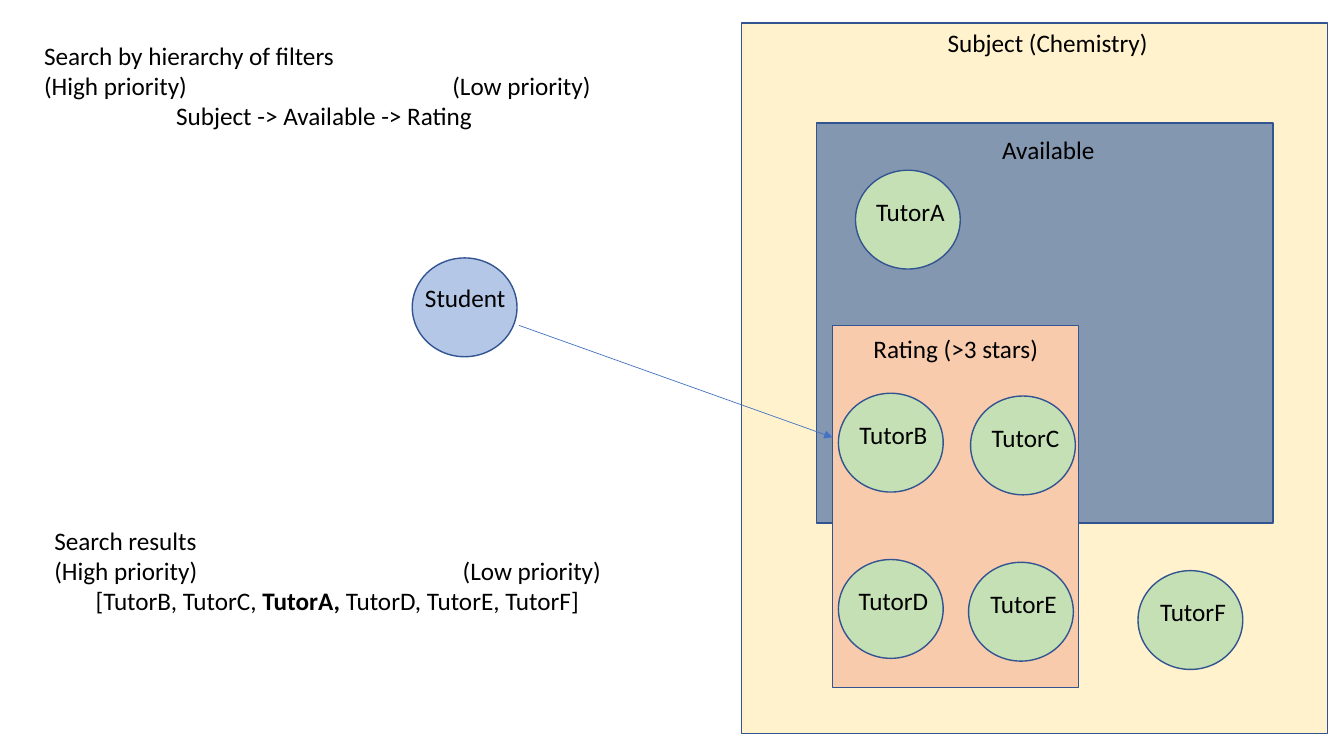
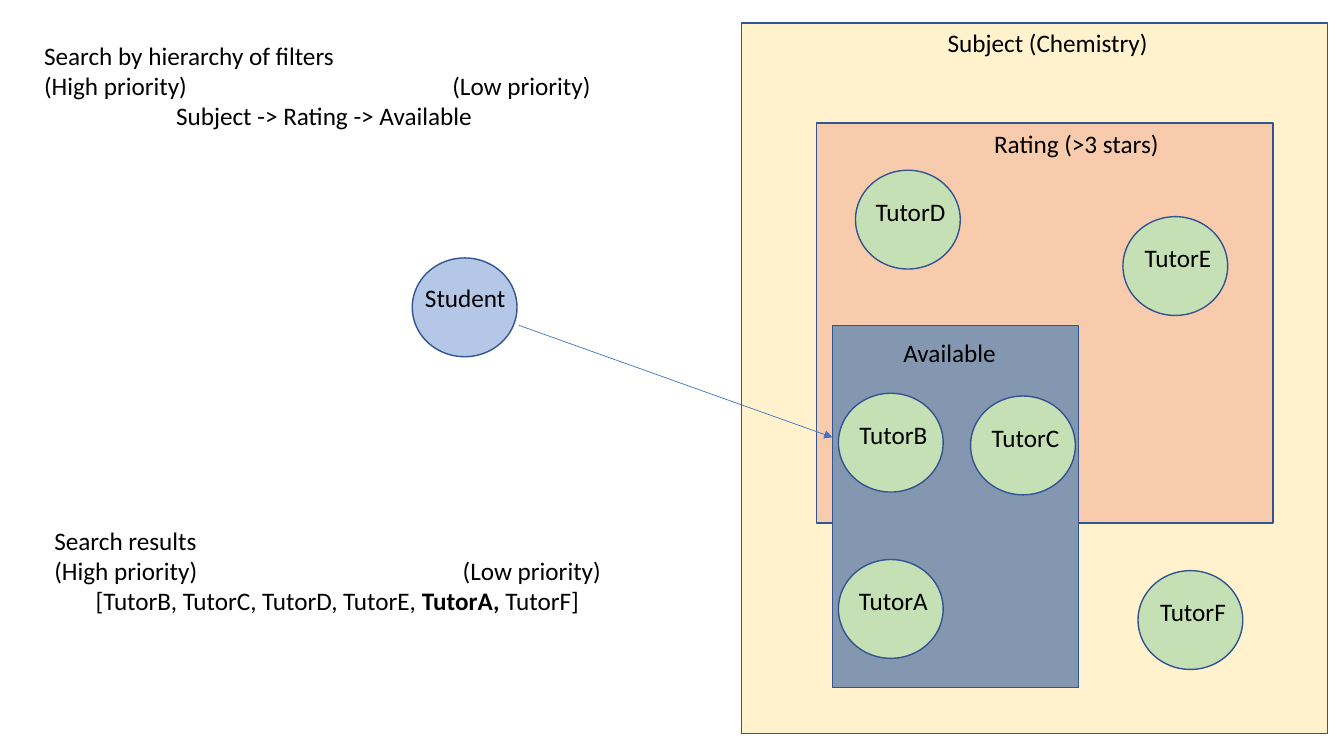
from dataclasses import dataclass
from lxml.etree import SubElement
from pptx import Presentation
from pptx.dml.color import RGBColor
from pptx.enum.shapes import MSO_CONNECTOR, MSO_SHAPE
from pptx.enum.text import PP_ALIGN
from pptx.oxml.ns import qn
from pptx.slide import Slide
from pptx.util import Cm, Pt

COLORS = {
    "cream": "FFF2CC",
    "slate": "8497B0",
    "peach": "F8CBAD",
    "green": "C5E0B4",
    "sky": "B4C7E7",
    "edge": "325491",
    "arrow": "4472C4",
    "ink": "000000",
}
FONT = "Calibri"
SIZE = Pt(18)
RING_W, RING_H = 2.64, 2.49
TAG_W, TAG_H = 5.61, 1.02
NOTE_W, NOTE_H = 14.76, 2.57
TAB = 10.29


@dataclass(frozen=True)
class Box:
    x: float
    y: float
    w: float
    h: float


@dataclass(frozen=True)
class Zone:
    text: str
    fill: str
    box: Box
    tag: Box


@dataclass(frozen=True)
class Ring:
    text: str
    x: float
    y: float
    fill: str = "green"
    dx: float = -1.42
    dy: float = 0.53


@dataclass(frozen=True)
class Run:
    text: str
    bold: bool = False


@dataclass(frozen=True)
class Line:
    runs: tuple[Run, ...]
    align: PP_ALIGN = PP_ALIGN.LEFT
    tab: bool = False


@dataclass(frozen=True)
class Page:
    zones: tuple[Zone, ...]
    rings: tuple[Ring, ...]
    rule: str
    found: tuple[Run, ...]


OUTER = Box(20.57, 3.1, 11.51, 10.08)
INNER = Box(20.98, 8.2, 6.2, 9.12)
SUBJECT = Zone("Subject (Chemistry)", "cream",
               Box(18.69, 0.58, 14.76, 17.91), Box(22.94, 0.56, 6.93, TAG_H))
SHARED = (
    Ring("Student", 10.39, 6.5, "sky", -1.47, 0.48),
    Ring("TutorB", 21.13, 9.91),
    Ring("TutorC", 24.46, 9.98),
    Ring("TutorF", 28.68, 14.38),
)
PAGES = (
    Page(
        (Zone("Available", "slate", OUTER, Box(24.59, 3.25, 3.66, TAG_H)),
         Zone("Rating (>3 stars)", "peach", INNER,
              Box(21.34, 8.28, 5.49, TAG_H))),
        (Ring("TutorA", 21.56, 4.29),
         Ring("TutorD", 21.13, 14.1),
         Ring("TutorE", 24.41, 14.17)),
        "Subject -> Available -> Rating ",
        (Run("[TutorB, TutorC, "), Run("TutorA, ", True),
         Run("TutorD, TutorE, TutorF]")),
    ),
    Page(
        (Zone("Rating (>3 stars)", "peach", OUTER,
              Box(24.38, 3.1, 5.49, TAG_H)),
         Zone("Available", "slate", INNER, Box(22.1, 8.38, 3.66, TAG_H))),
        (Ring("TutorD", 21.56, 4.29),
         Ring("TutorA", 21.13, 14.1),
         Ring("TutorE", 28.3, 5.46)),
        "Subject -> Rating -> Available ",
        (Run("[TutorB, TutorC, TutorD, TutorE, "), Run("TutorA, ", True),
         Run("TutorF]")),
    ),
)


def color(name: str) -> RGBColor:
    return RGBColor.from_string(COLORS[name])


def span(box: Box) -> tuple[Cm, Cm, Cm, Cm]:
    return Cm(box.x), Cm(box.y), Cm(box.w), Cm(box.h)


def add_form(slide: Slide, kind: MSO_SHAPE, box: Box, fill: str) -> None:
    form = slide.shapes.add_shape(kind, *span(box))
    form.shadow.inherit = False
    form.fill.solid()
    form.fill.fore_color.rgb = color(fill)
    form.line.color.rgb = color("edge")
    form.line.width = Pt(1)


def add_text(slide: Slide, box: Box, lines: tuple[Line, ...]) -> None:
    frame = slide.shapes.add_textbox(*span(box)).text_frame
    frame.word_wrap = True
    for i, line in enumerate(lines):
        para = frame.add_paragraph() if i else frame.paragraphs[0]
        para.alignment = line.align
        if line.tab:
            stops = SubElement(para._p.get_or_add_pPr(), qn("a:tabLst"))
            SubElement(stops, qn("a:tab"), pos=str(int(Cm(TAB))), algn="l")
        for part in line.runs:
            run = para.add_run()
            run.text = part.text
            run.font.name = FONT
            run.font.size = SIZE
            run.font.bold = part.bold
            run.font.color.rgb = color("ink")


def add_tag(slide: Slide, box: Box, text: str) -> None:
    add_text(slide, box, (Line((Run(text),), PP_ALIGN.CENTER),))


def add_zone(slide: Slide, zone: Zone) -> None:
    add_form(slide, MSO_SHAPE.RECTANGLE, zone.box, zone.fill)
    add_tag(slide, zone.tag, zone.text)


def add_ring(slide: Slide, ring: Ring) -> None:
    add_form(slide, MSO_SHAPE.OVAL,
             Box(ring.x, ring.y, RING_W, RING_H), ring.fill)
    add_tag(slide, Box(ring.x + ring.dx, ring.y + ring.dy, TAG_W, TAG_H),
            ring.text)


def add_arrow(slide: Slide) -> None:
    arrow = slide.shapes.add_connector(
        MSO_CONNECTOR.STRAIGHT, Cm(13.08), Cm(8.2), Cm(20.98), Cm(11.02))
    arrow.line.color.rgb = color("arrow")
    arrow.line.width = Pt(0.5)
    props = arrow._element.spPr
    SubElement(props.find(qn("a:ln")), qn("a:tailEnd"), type="triangle")
    SubElement(props, qn("a:effectLst"))


def add_note(slide: Slide, x: float, y: float, head: str,
             runs: tuple[Run, ...]) -> None:
    add_text(slide, Box(x, y, NOTE_W, NOTE_H), (
        Line((Run(head),)),
        Line((Run("(High priority)\t(Low priority)"),), tab=True),
        Line(runs, PP_ALIGN.CENTER),
    ))


def add_page(slide: Slide, page: Page) -> None:
    for zone in (SUBJECT, *page.zones):
        add_zone(slide, zone)
    for ring in (*SHARED, *page.rings):
        add_ring(slide, ring)
    add_arrow(slide)
    add_note(slide, 0.86, 0.89, "Search by hierarchy of filters",
             (Run(page.rule),))
    add_note(slide, 1.12, 13.11, "Search results", page.found)


def main() -> None:
    deck = Presentation()
    deck.slide_width, deck.slide_height = Cm(33.87), Cm(19.05)
    for page in PAGES:
        add_page(deck.slides.add_slide(deck.slide_layouts[6]), page)
    deck.save("out.pptx")


if __name__ == "__main__":
    main()
